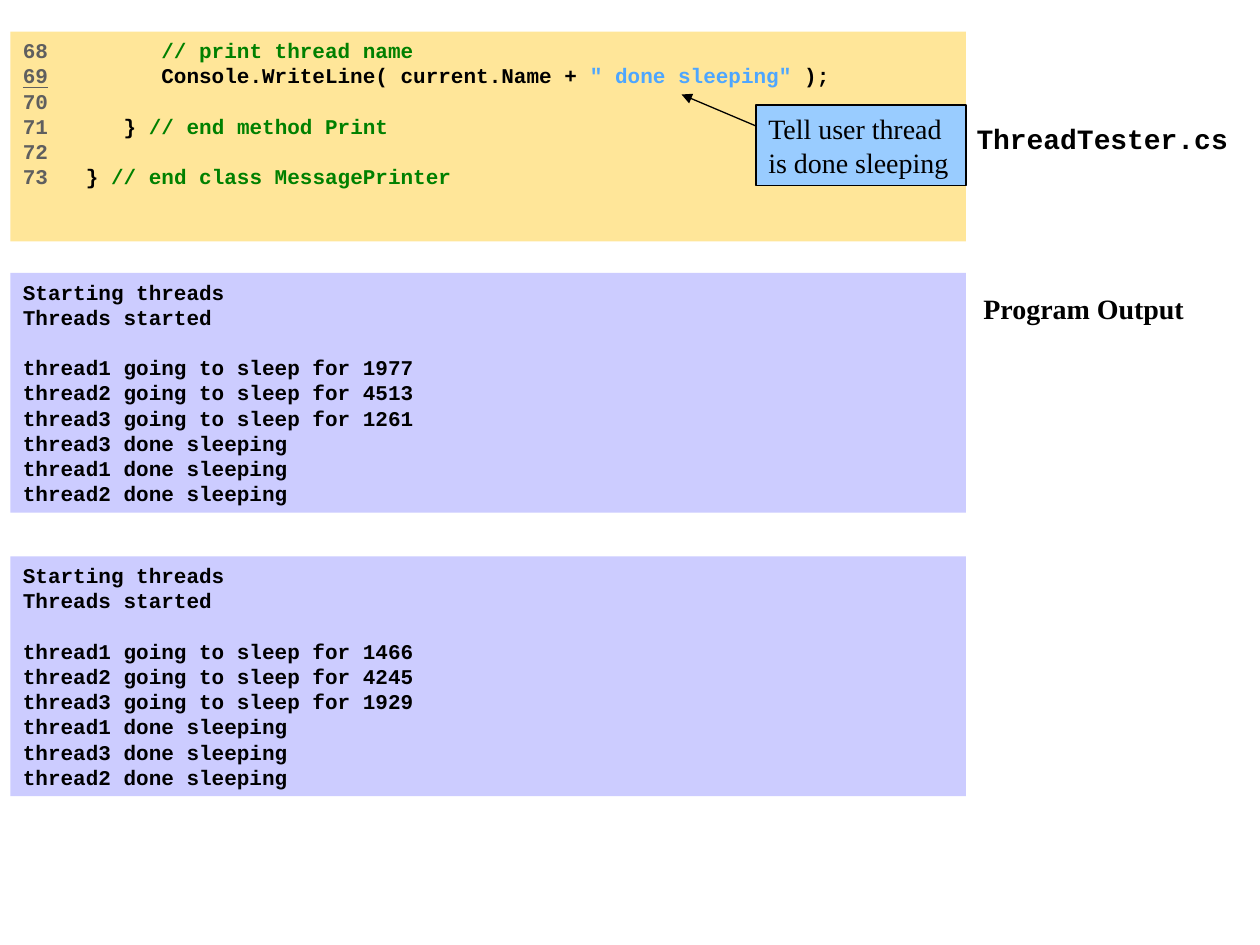
from lxml import etree
from pptx import Presentation
from pptx.dml.color import RGBColor
from pptx.enum.shapes import MSO_CONNECTOR, MSO_SHAPE
from pptx.enum.text import MSO_ANCHOR, PP_ALIGN
from pptx.oxml.ns import qn
from pptx.util import Pt

BLACK = RGBColor(0x00, 0x00, 0x00)
GRAY = RGBColor(0x5F, 0x5F, 0x5F)
GREEN = RGBColor(0x00, 0x80, 0x00)
BLUE = RGBColor(0x4D, 0xA6, 0xFF)
CODE_FILL = RGBColor(0xFF, 0xE6, 0x99)
OUTPUT_FILL = RGBColor(0xCC, 0xCC, 0xFF)
CALLOUT_FILL = RGBColor(0x99, 0xCC, 0xFF)
MONO, SERIF = "Courier New", "Times New Roman"
LINE_HEIGHT = 14.4

prs = Presentation()
prs.slide_width, prs.slide_height = Pt(720), Pt(540)
slide = prs.slides.add_slide(prs.slide_layouts[6])


def add_panel(left, top, width, height, fill):
    panel = slide.shapes.add_shape(
        MSO_SHAPE.RECTANGLE, Pt(left), Pt(top), Pt(width), Pt(height))
    panel.shadow.inherit = False
    panel.fill.solid()
    panel.fill.fore_color.rgb = fill
    panel.line.fill.background()
    panel.text_frame.word_wrap = True
    panel.text_frame.vertical_anchor = MSO_ANCHOR.TOP
    panel.text_frame.paragraphs[0].alignment = PP_ALIGN.LEFT
    return panel


def add_run(paragraph, text, color=BLACK, font=MONO, size=12, bold=True):
    run = paragraph.add_run()
    run.text = text
    run.font.name, run.font.size, run.font.bold = font, Pt(size), bold
    run.font.color.rgb = color
    return run


# File name and output heading on the right
for heading, left, top, font in [("ThreadTester.cs", 558, 66, MONO),
                                 ("Program Output", 562, 163, SERIF)]:
    box = slide.shapes.add_textbox(Pt(left), Pt(top), Pt(720 - left), Pt(26))
    box.text_frame.word_wrap = True
    box.text_frame.margin_left = 0
    add_run(box.text_frame.paragraphs[0], heading, font=font, size=16)

# Code listing: line number, then coloured pieces
code_lines = [
    ("68", [("         // print thread name", GREEN)]),
    ("69", [("         Console.WriteLine( current.Name + ", BLACK),
            ('" done sleeping"', BLUE), (" );", BLACK)]),
    ("70", []),
    ("71", [("      } ", BLACK), ("// end method Print", GREEN)]),
    ("72", []),
    ("73", [("   } ", BLACK), ("// end class MessagePrinter", GREEN)]),
]
code = add_panel(6, 18, 546, 120, CODE_FILL).text_frame
for i, (number, pieces) in enumerate(code_lines):
    line = code.paragraphs[0] if i == 0 else code.add_paragraph()
    line.alignment = PP_ALIGN.LEFT
    line.line_spacing = Pt(LINE_HEIGHT)
    number_run = add_run(line, number, GRAY)
    if number == "69":
        number_run.font.underline = True
    for text, color in pieces:
        add_run(line, text, color)

# Two sample outputs: sleep times, then the order of waking
for top, sleep_times, wake_order in [(156, (1977, 4513, 1261), (3, 1, 2)),
                                     (318, (1466, 4245, 1929), (1, 3, 2))]:
    output = add_panel(6, top, 546, 137, OUTPUT_FILL).text_frame
    messages = ["Starting threads", "Threads started"]
    messages += [f"thread{n} going to sleep for {ms}"
                 for n, ms in enumerate(sleep_times, 1)]
    messages += [f"thread{n} done sleeping" for n in wake_order]
    for i, message in enumerate(messages):
        line = output.paragraphs[0] if i == 0 else output.add_paragraph()
        line.alignment = PP_ALIGN.LEFT
        line.line_spacing = Pt(LINE_HEIGHT)
        if i == 2:
            line.space_before = Pt(LINE_HEIGHT)
        add_run(line, message)

# Callout with its arrow to the code
callout = add_panel(432, 60, 120, 46, CALLOUT_FILL)
callout.line.color.rgb = BLACK
callout.line.width = Pt(0.75)
callout.text_frame.vertical_anchor = MSO_ANCHOR.MIDDLE
add_run(callout.text_frame.paragraphs[0], "Tell user thread is done sleeping",
        font=SERIF, size=16, bold=False)

arrow = slide.shapes.add_connector(
    MSO_CONNECTOR.STRAIGHT, Pt(432), Pt(72), Pt(389.5), Pt(54))
arrow.line.color.rgb = BLACK
arrow.line.width = Pt(0.75)
etree.SubElement(arrow.line._get_or_add_ln(), qn("a:tailEnd"), type="triangle")
etree.SubElement(arrow._element.spPr, qn("a:effectLst"))

prs.save("out.pptx")
